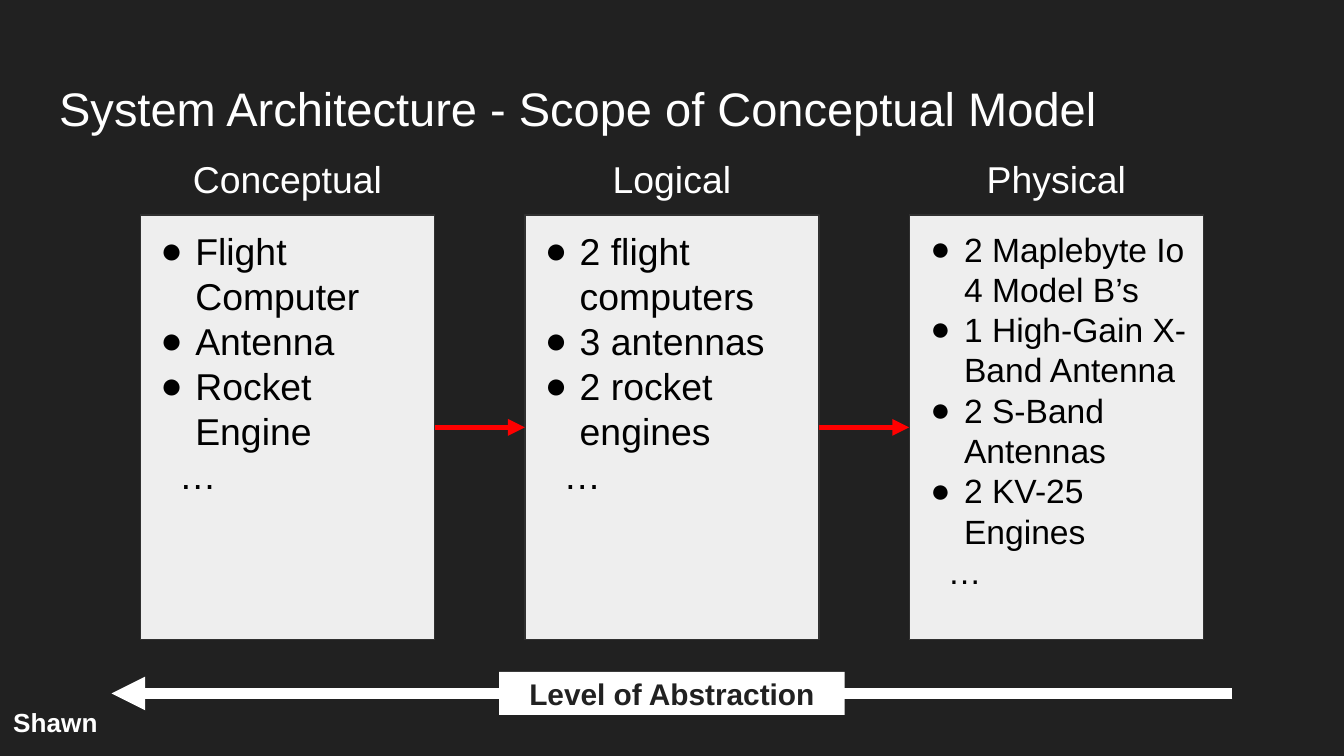
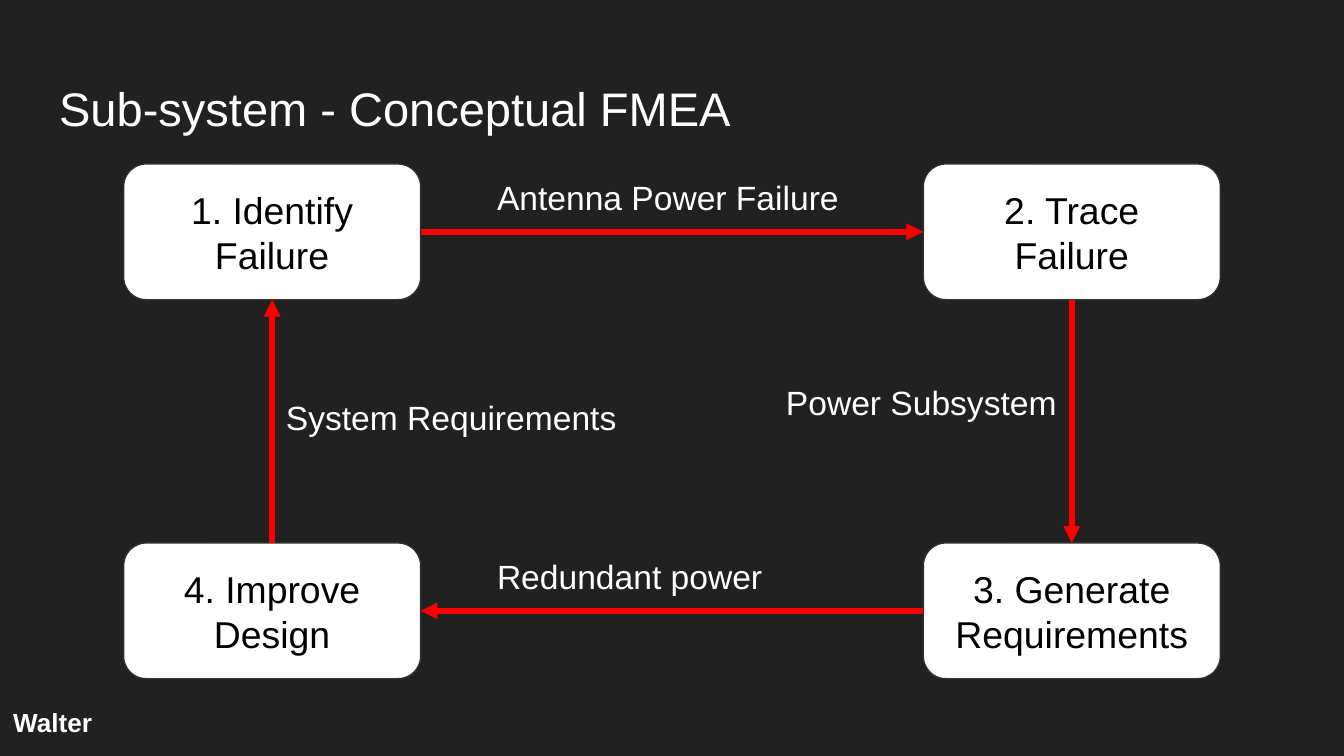
from pptx import Presentation
from pptx.dml.color import RGBColor
from pptx.enum.shapes import MSO_CONNECTOR, MSO_SHAPE
from pptx.enum.text import MSO_ANCHOR as ANCHOR, MSO_AUTO_SIZE, PP_ALIGN as ALIGN
from pptx.oxml.ns import qn
from pptx.util import Inches, Pt
from lxml.etree import SubElement

COLORS = {
    "background": "212121",
    "white": "FFFFFF",
    "black": "000000",
    "panel": "EEEEEE",
    "outline": "303030",
    "arrow": "FF0000",
}
FONT = "Arial"
WIDTH = 10
HEIGHT = WIDTH * 9 / 16
TOP, LEFT, BOTTOM, RIGHT = range(4)  # connection sites

# Slide 1: heading, text size, bullet hang, bullets
MODELS = [
    ("Conceptual", 20, 0.26, ["Flight Computer", "Antenna", "Rocket Engine"]),
    ("Logical", 20, 0.26, ["2 flight computers", "3 antennas", "2 rocket engines"]),
    ("Physical", 18, 0.25, ["2 Maplebyte Io 4 Model B’s", "1 High-Gain X-Band Antenna",
                            "2 S-Band\nAntennas", "2 KV-25 Engines"]),
]
PANEL_WIDTH, PANEL_HEIGHT, PANEL_TOP, PANEL_STEP = 2.19, 3.16, 1.6, 2.86
LABEL_WIDTH = 2.57

# Slide 2: step, column, row
STEPS = [
    ("1. Identify\nFailure", 0, 0),
    ("2. Trace\nFailure", 1, 0),
    ("3. Generate\nRequirements", 1, 1),
    ("4. Improve\nDesign", 0, 1),
]
# Result that leads to the next step, its left and top, sites joined
RESULTS = [
    ("Antenna Power Failure", 3.6, 1.22, RIGHT, LEFT),
    ("Power Subsystem", 5.75, 2.74, BOTTOM, TOP),
    ("Redundant power", 3.6, 4.04, LEFT, RIGHT),
    ("System Requirements", 2.03, 2.85, TOP, BOTTOM),
]
STEP_WIDTH, STEP_HEIGHT = 2.21, 1.01
STEP_LEFTS, STEP_TOPS = (0.92, 6.87), (1.22, 4.04)


def rgb(name):
    return RGBColor.from_string(COLORS[name])


def write(paragraph, text, size, color, align=ALIGN.LEFT, bold=False):
    """Add text to the paragraph; a newline becomes a line break."""
    paragraph.alignment = align
    for index, line in enumerate(text.split("\n")):
        if index:
            paragraph.add_line_break()
        run = paragraph.add_run()
        run.text = line
        run.font.name, run.font.size, run.font.bold = FONT, Pt(size), bold
        run.font.color.rgb = rgb(color)


def set_frame(shape, anchor=ANCHOR.TOP):
    frame = shape.text_frame
    frame.word_wrap = True
    frame.auto_size = MSO_AUTO_SIZE.NONE
    frame.vertical_anchor = anchor
    frame.margin_left = frame.margin_right = Inches(0.1)
    frame.margin_top = frame.margin_bottom = Inches(0.1)
    return frame


def add_label(slide, text, box, size, **style):
    shape = slide.shapes.add_textbox(*map(Inches, box))
    write(set_frame(shape).paragraphs[0], text, size, "white", **style)


def add_box(slide, kind, box, fill, outline=None):
    shape = slide.shapes.add_shape(kind, *map(Inches, box))
    shape.shadow.inherit = False
    shape.fill.solid()
    shape.fill.fore_color.rgb = rgb(fill)
    if outline:
        shape.line.color.rgb = rgb(outline)
        shape.line.width = Pt(0.75)
    else:
        shape.line.fill.background()
    return shape


def add_arrow(slide, color, width, ends=(0, 0, 0, 0)):
    arrow = slide.shapes.add_connector(MSO_CONNECTOR.STRAIGHT, *map(Inches, ends))
    arrow.line.color.rgb = rgb(color)
    arrow.line.width = Pt(width)
    line = arrow._element.spPr.find(qn("a:ln"))
    SubElement(line, qn("a:tailEnd"), type="triangle")
    SubElement(arrow._element.spPr, qn("a:effectLst"))
    return arrow


def join(slide, start, start_site, end, end_site):
    arrow = add_arrow(slide, "arrow", 3)
    arrow.begin_connect(start, start_site)
    arrow.end_connect(end, end_site)


def indent(paragraph, left, first, bullet=None):
    properties = paragraph._p.get_or_add_pPr()
    properties.set("marL", str(Inches(left)))
    properties.set("indent", str(Inches(first)))
    if bullet:
        color = SubElement(properties, qn("a:buClr"))
        SubElement(color, qn("a:srgbClr"), val=COLORS["black"])
        SubElement(properties, qn("a:buFont"), typeface=FONT)
        SubElement(properties, qn("a:buChar"), char=bullet)


def add_slide(presentation, title, presenter):
    slide = presentation.slides.add_slide(presentation.slide_layouts[5])
    shape = slide.shapes.title
    shape.left, shape.top, shape.width, shape.height = map(Inches, (0.34, 0.49, 9.32, 0.63))
    write(set_frame(shape).paragraphs[0], title, 25.2, "white")
    add_label(slide, presenter, (0, 5.16, 0.87, 0.46), 14, bold=True)
    return slide


def build_architecture(presentation):
    slide = add_slide(presentation, "System Architecture - Scope of Conceptual Model", "Shawn")
    panels = []
    for index, (heading, size, hang, bullets) in enumerate(MODELS):
        center = WIDTH / 2 + (index - 1) * PANEL_STEP
        panel = add_box(slide, MSO_SHAPE.RECTANGLE,
                        (center - PANEL_WIDTH / 2, PANEL_TOP, PANEL_WIDTH, PANEL_HEIGHT),
                        "panel", "outline")
        frame = set_frame(panel)
        for row, text in enumerate(bullets):
            paragraph = frame.add_paragraph() if row else frame.paragraphs[0]
            indent(paragraph, 0.31, -hang, "●")
            write(paragraph, text, size, "black")
        paragraph = frame.add_paragraph()
        indent(paragraph, 0.5, -0.31)
        write(paragraph, "…", size, "black")
        add_label(slide, heading, (center - LABEL_WIDTH / 2, 1.06, LABEL_WIDTH, 0.43), 20,
                  align=ALIGN.CENTER)
        panels.append(panel)
    for left_panel, right_panel in zip(panels, panels[1:]):
        join(slide, left_panel, RIGHT, right_panel, LEFT)

    add_arrow(slide, "white", 6, (9.17, 5.16, 0.83, 5.16))
    axis = add_box(slide, MSO_SHAPE.RECTANGLE,
                   ((WIDTH - LABEL_WIDTH) / 2, 5, LABEL_WIDTH, 0.32), "white")
    write(set_frame(axis, ANCHOR.MIDDLE).paragraphs[0], "Level of Abstraction", 16,
          "background", ALIGN.CENTER, bold=True)


def build_fmea(presentation):
    slide = add_slide(presentation, "Sub-system - Conceptual FMEA", "Walter")
    steps = []
    for text, column, row in STEPS:
        step = add_box(slide, MSO_SHAPE.ROUNDED_RECTANGLE,
                       (STEP_LEFTS[column], STEP_TOPS[row], STEP_WIDTH, STEP_HEIGHT),
                       "white", "outline")
        write(set_frame(step, ANCHOR.MIDDLE).paragraphs[0], text, 20, "black", ALIGN.CENTER)
        steps.append(step)
    for index, (text, left, top, start_site, end_site) in enumerate(RESULTS):
        join(slide, steps[index], start_site, steps[(index + 1) % len(steps)], end_site)
        add_label(slide, text, (left, top, 2.8, 0.57), 18)


def main():
    presentation = Presentation()
    presentation.slide_width, presentation.slide_height = Inches(WIDTH), Inches(HEIGHT)
    background = presentation.slide_master.background.fill
    background.solid()
    background.fore_color.rgb = rgb("background")
    build_architecture(presentation)
    build_fmea(presentation)
    presentation.save("out.pptx")


if __name__ == "__main__":
    main()
